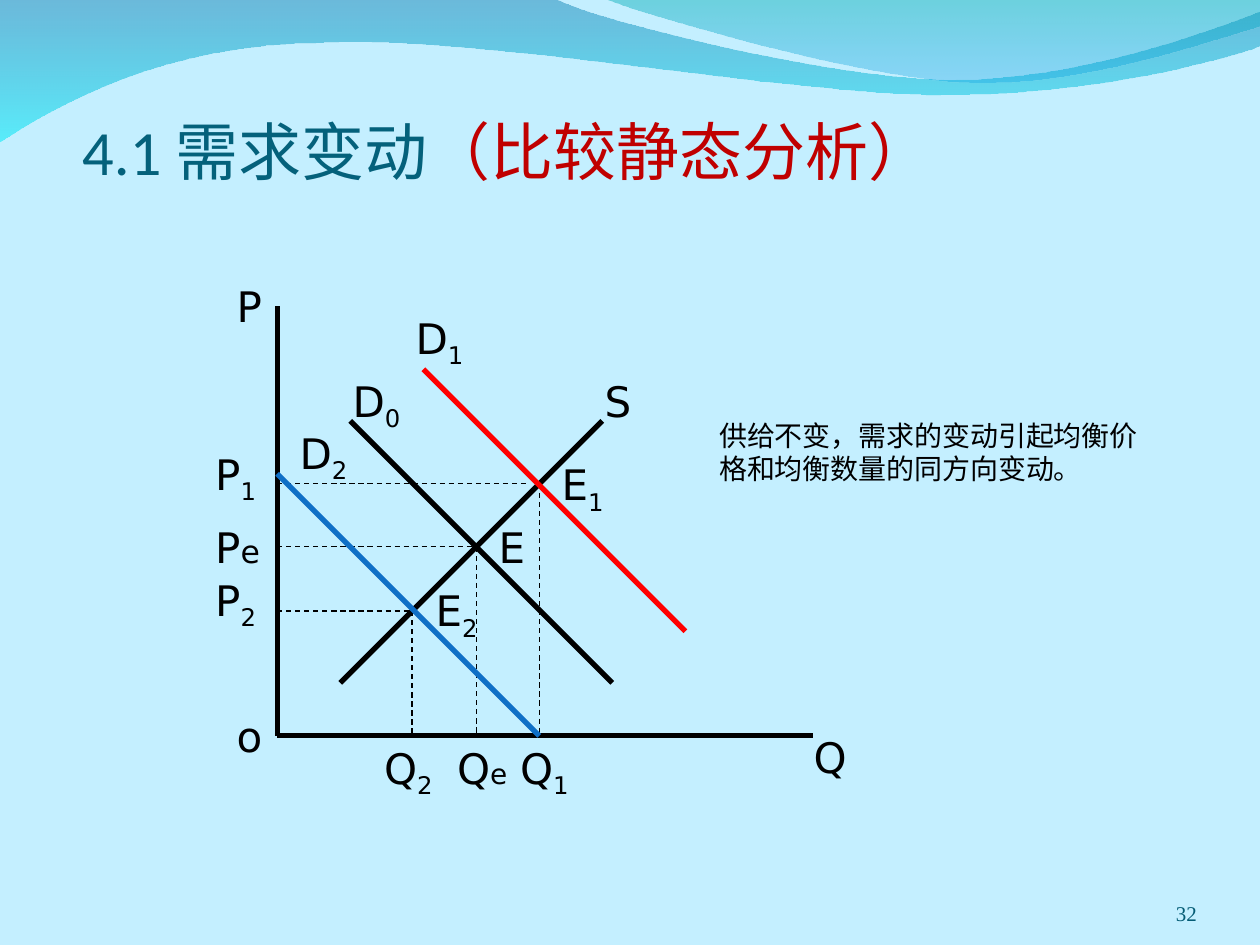
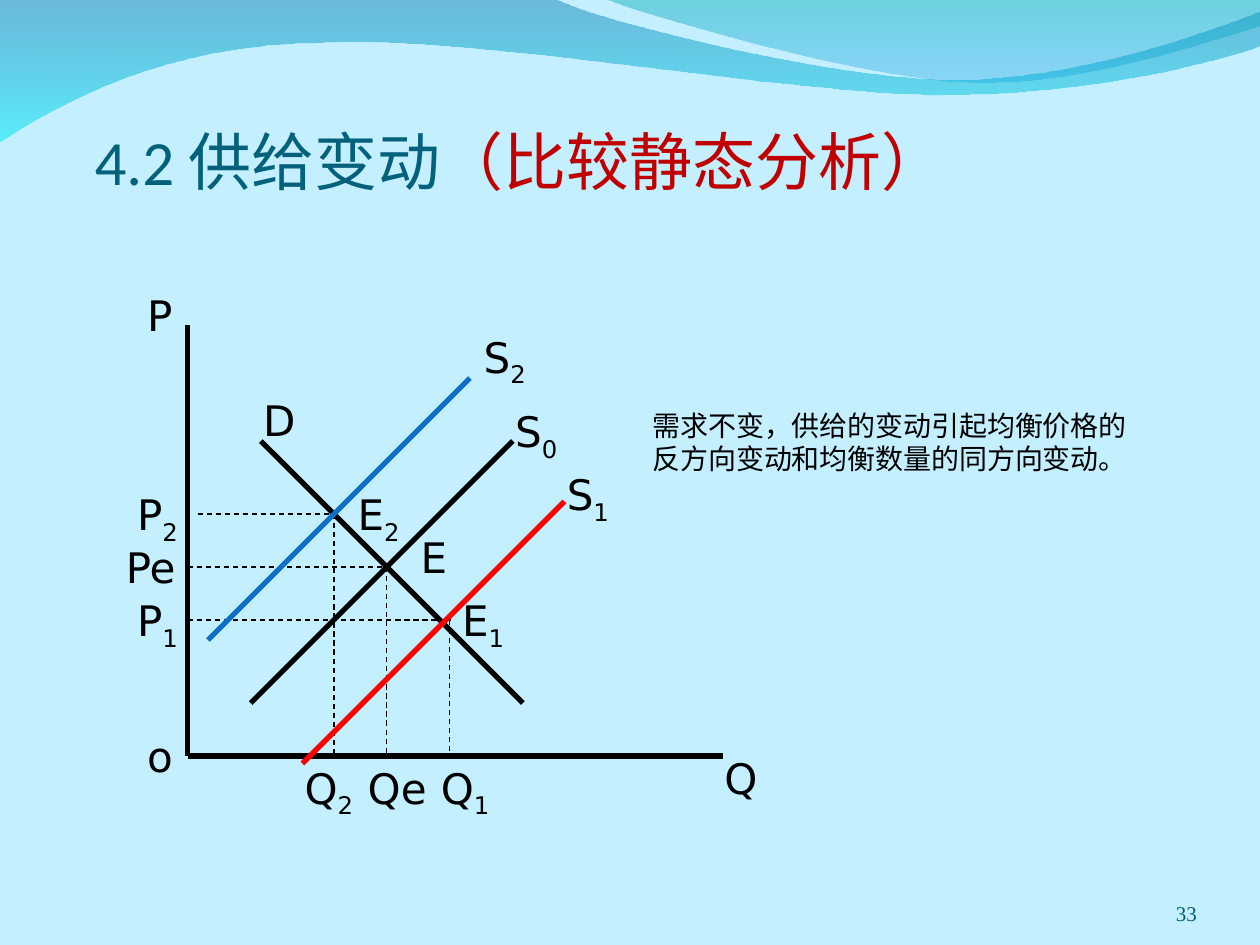
from lxml import etree
from pptx import Presentation
from pptx.dml.color import RGBColor
from pptx.enum.dml import MSO_LINE
from pptx.enum.shapes import MSO_CONNECTOR
from pptx.enum.text import MSO_ANCHOR as ANCHOR, MSO_AUTO_SIZE as FIT, PP_ALIGN as ALIGN
from pptx.oxml.ns import qn
from pptx.util import Inches, Pt

# ---- Shared style ----
COLORS = {
    "back": "C4EFFF", "title": "04617B", "accent": "C00000", "number": "045C75",
    "ink": "000000", "red": "FF0000", "blue": "0F6FC6",
    "deep": "0079AF", "cyan": "00EBF8", "teal": "00ADB6", "sky": "009BE5",
}
TITLE_FONT, LABEL_FONT, BODY_FONT = "Calibri", "DejaVu Sans", "Times New Roman"
CURVE_SPAN = 2.08      # every curve is a 45-degree diagonal of this width
AXIS_LENGTH = 4.25
BOX_INSETS = (0.1, 0.05, 0.1, 0.05)

# Two numbers are a straight step, six are a Bezier curve; stops are colour, opacity %
WAVES = [
    {"start": (0, -0.01), "height": 1.14,
     "steps": [(4.4, -0.01), (4.76, 0.17, 6.64, 0.63, 7.58, 0.63),
               (8.53, 0.63, 9.58, 0.26, 10, 0.09), (10.01, 0.36),
               (9.83, 0.44, 8.7, 0.76, 7.46, 0.75),
               (6.22, 0.75, 3.82, 0.28, 2.57, 0.34),
               (1.29, 0.35, 0.46, 0.83, -0.01, 1.13)],
     "stops": [("deep", 45), ("cyan", 55)]},
    {"start": (4.79, -0.01), "height": 0.7,
     "steps": [(5.09, 0.11, 6.82, 0.62, 7.69, 0.65),
               (8.56, 0.69, 9.61, 0.32, 10, 0.21), (10, 0)],
     "stops": [("teal", 45), ("sky", 30)]},
]

# ---- Content ----
# curves: name, sub, start, direction (1 falls, -1 rises), colour, label place
# equilibria: sub, point, guide gaps (left, right), places of the E and P labels, left of Q label
SLIDES = [
    {"number": "32", "title": "4.1  需求变动", "title_at": (0.65, 0.83),
     "origin": (2.2, 5.84), "axis_top": 2.43, "p_top": 2.18,
     "e_sizes": {"P": 18, "Q": 16},
     "curves": [("D", "0", (2.78, 3.34), 1, "ink", (2.7, 2.93)),
                ("S", "", (2.7, 5.42), -1, "ink", (4.7, 2.93)),
                ("D", "1", (3.36, 2.93), 1, "red", (3.2, 2.43)),
                ("D", "2", (2.2, 3.76), 1, "blue", (2.28, 3.34))],
     "equilibria": [("", (3.78, 4.34), (0, 0), (3.86, 4.09), (1.61, 4.09), 3.53),
                    ("1", (4.28, 3.84), (0, 0.08), (4.36, 3.59), (1.61, 3.51), 4.03),
                    ("2", (3.27, 4.85), (0, 0), (3.36, 4.59), (1.61, 4.51), 2.95)],
     "note": "供给不变，需求的变动引起均衡价格和均衡数量的同方向变动。",
     "note_at": (5.61, 3.27, 3.54, 0.64)},
    {"number": "33", "title": "4.2  供给变动", "title_at": (0.75, 0.91),
     "origin": (1.49, 6), "axis_top": 2.58, "p_top": 2.25,
     "e_sizes": {"P": 24, "Q": 24},
     "curves": [("D", "", (2.07, 3.5), 1, "ink", (1.99, 3.08)),
                ("S", "0", (1.99, 5.58), -1, "ink", (3.99, 3.17)),
                ("S", "1", (2.4, 6.06), -1, "red", (4.4, 3.67)),
                ("S", "2", (1.65, 5.08), -1, "blue", (3.74, 2.58))],
     "equilibria": [("", (3.07, 4.5), (0, 0), (3.24, 4.17), (0.9, 4.25), 2.82),
                    ("1", (3.57, 4.92), (0, 0), (3.57, 4.67), (0.99, 4.67), 3.4),
                    ("2", (2.65, 4.08), (0.08, 0), (2.74, 3.83), (0.99, 3.83), 2.32)],
     "note": "需求不变，供给的变动引起均衡价格的反方向变动和均衡数量的同方向变动。",
     "note_at": (5.08, 3.19, 4.15, 0.64)},
]
TITLE_TAIL = "（比较静态分析）"


def rgb(name):
    return RGBColor.from_string(COLORS[name])


# ---- Text ----
def add_span(para, text, font, size, color):
    span = para.add_run()
    span.text = text
    span.font.name, span.font.size = font, Pt(size)
    span.font.color.rgb = rgb(color)
    return span


def set_frame(frame, insets, anchor):
    frame.word_wrap = True
    frame.auto_size = FIT.NONE
    frame.vertical_anchor = anchor
    (frame.margin_left, frame.margin_top,
     frame.margin_right, frame.margin_bottom) = map(Inches, insets)
    return frame.paragraphs[0]


def add_text(page, place, insets=BOX_INSETS, anchor=ANCHOR.TOP):
    box = page.shapes.add_textbox(*map(Inches, place))
    return set_frame(box.text_frame, insets, anchor)


def add_label(page, name, place, sub="", tail="", tail_size=24):
    width, height = (1, 0.56) if sub else (0.92, 0.5) if tail else (0.58, 0.5)
    para = add_text(page, (*place, width, height))
    if tail and not sub and tail_size == 24:
        name, tail = name + tail, ""
    add_span(para, name, LABEL_FONT, 24, "ink")
    if sub:
        span = add_span(para, sub, LABEL_FONT, 24, "ink")
        span.font._element.set("baseline", "-25000")
    elif tail:
        add_span(para, tail, LABEL_FONT, tail_size, "ink")


def fill_title(page, slide):
    title = page.shapes.title
    title.left, title.top = map(Inches, slide["title_at"])
    title.width, title.height = Inches(8.5), Inches(0.66)
    para = set_frame(title.text_frame, (0, 0.05, 0, 0), ANCHOR.BOTTOM)
    para.alignment = ALIGN.LEFT
    # One plain space: the script change after it already widens the gap
    add_span(para, " ".join(slide["title"].split()), TITLE_FONT, 36, "title")
    add_span(para, TITLE_TAIL, TITLE_FONT, 36, "accent")


# ---- Lines and waves ----
def add_line(page, start, end, color="ink", width=3, dashed=False):
    line = page.shapes.add_connector(MSO_CONNECTOR.STRAIGHT, *map(Inches, (*start, *end)))
    line.line.color.rgb = rgb(color)
    line.line.width = Pt(width)
    if dashed:
        line.line.dash_style = MSO_LINE.DASH
    etree.SubElement(line._element.spPr, qn("a:effectLst"))


def bend(shape, segment, step):
    """Turn a straight segment into a Bezier curve."""
    curve = etree.Element(qn("a:cubicBezTo"))
    for x, y in zip(step[::2], step[1::2]):
        point = etree.SubElement(curve, qn("a:pt"))
        point.set("x", str(Inches(x) - shape.left))
        point.set("y", str(Inches(y) - shape.top))
    segment.getparent().replace(segment, curve)


def add_wave(page, wave):
    ends = [tuple(map(Inches, step[-2:])) for step in wave["steps"]]
    builder = page.shapes.build_freeform(*map(Inches, wave["start"]))
    builder.add_line_segments(ends, close=True)
    shape = builder.convert_to_shape()
    segments = list(shape._element.iter(qn("a:lnTo")))
    for segment, step in zip(segments, wave["steps"]):
        if len(step) == 6:
            bend(shape, segment, step)
    # The bulge of a curve may reach below its end points
    shape.height = Inches(wave["height"])
    next(shape._element.iter(qn("a:path"))).set("h", str(shape.height))

    shape.shadow.inherit = False
    shape.line.fill.background()
    shape.fill.gradient()
    shape.fill.gradient_angle = 270
    for stop, place, (color, _) in zip(shape.fill.gradient_stops, (0, 1), wave["stops"]):
        stop.position = place
        stop.color.rgb = rgb(color)
    tints = shape._element.spPr.iter(qn("a:srgbClr"))
    for tint, (_, opacity) in zip(tints, wave["stops"]):
        etree.SubElement(tint, qn("a:alpha")).set("val", str(opacity * 1000))
    return shape


# ---- Diagram ----
def draw_diagram(page, slide):
    left, base = slide["origin"]

    # Axes and dashed guides
    add_line(page, (left, slide["axis_top"]), (left, base))
    add_line(page, (left, base), (left + AXIS_LENGTH, base))
    for _, (x, y), (gap_left, gap_right), *_ in slide["equilibria"]:
        add_line(page, (left + gap_left, y), (x - gap_right, y), width=0.75, dashed=True)
        add_line(page, (x, y), (x, base), width=0.75, dashed=True)

    # Curves
    for name, sub, (x, y), direction, color, place in slide["curves"]:
        add_line(page, (x, y), (x + CURVE_SPAN, y + direction * CURVE_SPAN), color)
        add_label(page, name, place, sub)

    # Axis and equilibrium labels
    add_label(page, "P", (left - 0.42, slide["p_top"]))
    add_label(page, "o", (left - 0.42, base - 0.25))
    add_label(page, "Q", (left + 4.16, base - 0.08))
    for sub, _, _, e_place, p_place, q_left in slide["equilibria"]:
        add_label(page, "E", e_place, sub)
        for name, place in (("P", p_place), ("Q", (q_left, base))):
            add_label(page, name, place, sub, "e", slide["e_sizes"][name])


def main():
    deck = Presentation()
    deck.slide_width, deck.slide_height = Inches(10), Inches(7.5)
    master = deck.slide_master
    back = master.background.fill
    back.solid()
    back.fore_color.rgb = rgb("back")
    pages = [deck.slides.add_slide(deck.slide_layouts[5]) for _ in SLIDES]

    # Waves are built on a page, then moved to the shared master
    for wave in WAVES:
        master.shapes._spTree.append(add_wave(pages[0], wave)._element)

    for page, slide in zip(pages, SLIDES):
        fill_title(page, slide)
        draw_diagram(page, slide)
        add_span(add_text(page, slide["note_at"]), slide["note"], BODY_FONT, 16, "ink")
        para = add_text(page, (8.67, 6.95, 0.83, 0.4), (0, 0, 0, 0), ANCHOR.BOTTOM)
        para.alignment = ALIGN.RIGHT
        add_span(para, slide["number"], BODY_FONT, 12, "number")
    deck.save("out.pptx")


if __name__ == "__main__":
    main()
